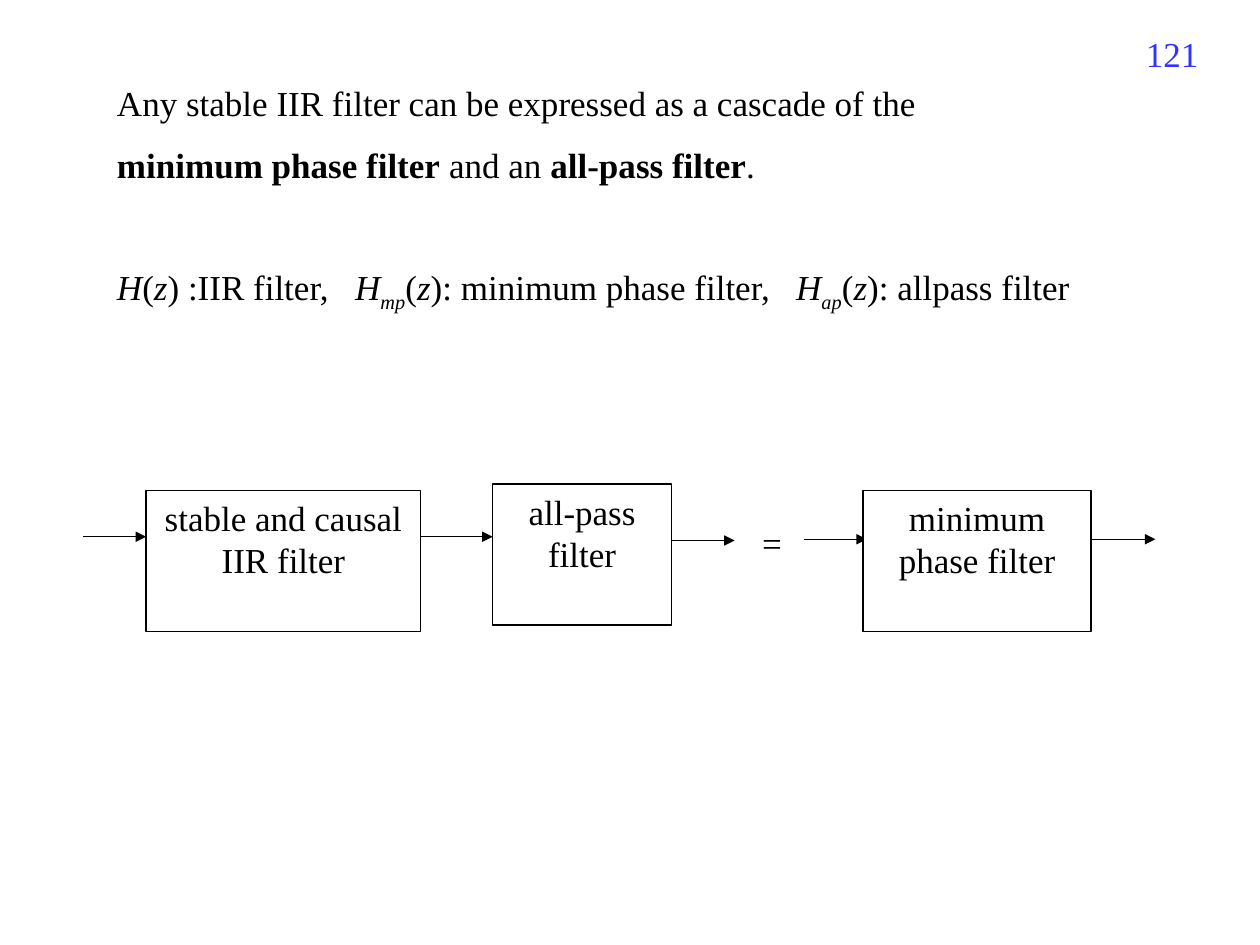
from dataclasses import dataclass
from typing import NamedTuple, Sequence

from lxml.etree import SubElement
from pptx import Presentation
from pptx.dml.color import RGBColor
from pptx.enum.shapes import MSO_CONNECTOR as Connector, MSO_SHAPE as Shape
from pptx.enum.text import MSO_ANCHOR as Anchor, PP_ALIGN as Align
from pptx.oxml.ns import qn
from pptx.util import Inches, Pt


@dataclass(frozen=True)
class Theme:
    font: str = "Times New Roman"
    size: Pt = Pt(20)
    line_width: Pt = Pt(0.75)
    ink: RGBColor = RGBColor(0, 0, 0)
    paper: RGBColor = RGBColor(255, 255, 255)
    number: RGBColor = RGBColor(0x33, 0x33, 0xFF)


THEME = Theme()


class Run(NamedTuple):
    text: str
    bold: bool = False
    italic: bool = False
    subscript: bool = False


class Block(NamedTuple):
    label: str
    left: float
    top: float
    width: float
    height: float = 1.12


class Arrow(NamedTuple):
    start: float
    end: float
    y: float


BLOCKS = [
    Block("stable and causal\nIIR filter", 1.16, 3.89, 2.18),
    Block("all-pass filter", 3.91, 3.84, 1.42),
    Block("minimum phase filter", 6.85, 3.89, 1.81),
]
ARROWS = [
    Arrow(0.66, 1.16, 4.26),
    Arrow(3.34, 3.91, 4.26),
    Arrow(5.33, 5.83, 4.29),
    Arrow(6.38, 6.88, 4.28),
    Arrow(8.66, 9.17, 4.28),
]


def transfer_function(subscript: str, description: str) -> list[Run]:
    """Runs for H(z), with an optional subscript, followed by its description."""
    name = [Run("H", italic=True)]
    if subscript:
        name.append(Run(subscript, italic=True, subscript=True))
    return name + [Run("("), Run("z", italic=True), Run(")" + description)]


STATEMENT = [
    [Run("Any stable IIR filter can be expressed as a cascade of the")],
    [Run("minimum phase filter", bold=True), Run(" and an "),
     Run("all-pass filter", bold=True), Run(".")],
]
NOTATION = [
    *transfer_function("", " :IIR filter,\t"),
    *transfer_function("mp", ": minimum phase filter,\t"),
    *transfer_function("ap", ": allpass filter"),
]


def write_paragraph(paragraph, runs: Sequence[Run], *, color=THEME.ink,
                    align=Align.LEFT, space_before=0, tabs: Sequence[float] = ()):
    if tabs:
        tab_list = SubElement(paragraph._p.get_or_add_pPr(), qn("a:tabLst"))
        for position in tabs:
            SubElement(tab_list, qn("a:tab"), pos=str(Inches(position)), algn="l")
    paragraph.alignment = align
    if space_before:
        paragraph.space_before = Pt(space_before)
    for item in runs:
        for index, line in enumerate(item.text.split("\n")):
            if index:
                paragraph.add_line_break()
            run = paragraph.add_run()
            run.text = line
            font = run.font
            font.name, font.size = THEME.font, THEME.size
            font.bold, font.italic = item.bold, item.italic
            font.color.rgb = color
            if item.subscript:
                run._r.get_or_add_rPr().set("baseline", "-25000")


def add_text_box(slide, left: float, top: float, width: float, height: float):
    frame = slide.shapes.add_textbox(
        Inches(left), Inches(top), Inches(width), Inches(height)).text_frame
    frame.word_wrap = True
    return frame


def add_block(slide, block: Block):
    shape = slide.shapes.add_shape(
        Shape.RECTANGLE, Inches(block.left), Inches(block.top),
        Inches(block.width), Inches(block.height))
    shape.shadow.inherit = False
    shape.fill.solid()
    shape.fill.fore_color.rgb = THEME.paper
    shape.line.color.rgb = THEME.ink
    shape.line.width = THEME.line_width
    shape.text_frame.word_wrap = True
    shape.text_frame.vertical_anchor = Anchor.TOP
    write_paragraph(shape.text_frame.paragraphs[0], [Run(block.label)],
                    align=Align.CENTER)


def add_arrow(slide, arrow: Arrow):
    connector = slide.shapes.add_connector(
        Connector.STRAIGHT, Inches(arrow.start), Inches(arrow.y),
        Inches(arrow.end), Inches(arrow.y))
    connector.line.color.rgb = THEME.ink
    connector.line.width = THEME.line_width
    SubElement(connector.line._get_or_add_ln(), qn("a:tailEnd"),
               type="triangle", w="med", len="med")
    SubElement(connector._element.spPr, qn("a:effectLst"))


def main():
    presentation = Presentation()
    presentation.slide_width, presentation.slide_height = Inches(10), Inches(7.5)
    slide = presentation.slides.add_slide(presentation.slide_layouts[6])

    number = add_text_box(slide, 7.28, 0.21, 2.33, 0.52)
    write_paragraph(number.paragraphs[0], [Run("121")],
                    color=THEME.number, align=Align.RIGHT)

    statement = add_text_box(slide, 0.83, 0.6, 8.35, 1.93)
    write_paragraph(statement.paragraphs[0], STATEMENT[0])
    write_paragraph(statement.add_paragraph(), STATEMENT[1], space_before=11.3)
    write_paragraph(statement.add_paragraph(), NOTATION, space_before=45.6,
                    tabs=(1.89, 5.39))

    for arrow in ARROWS:
        add_arrow(slide, arrow)
    for block in BLOCKS:
        add_block(slide, block)

    equals = add_text_box(slide, 5.95, 4.09, 0.62, 0.62)
    write_paragraph(equals.paragraphs[0], [Run("=")])

    presentation.save("out.pptx")


if __name__ == "__main__":
    main()
